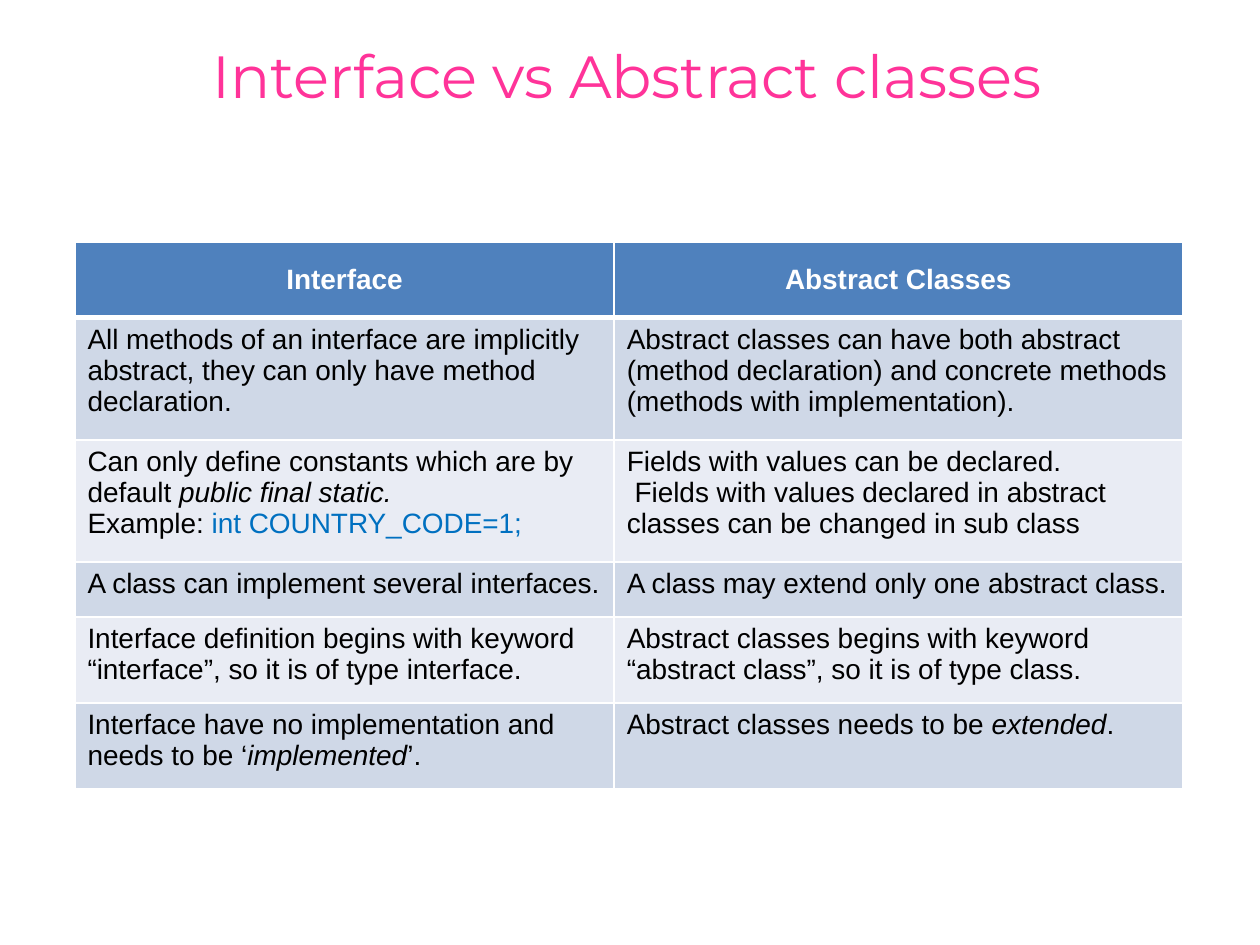
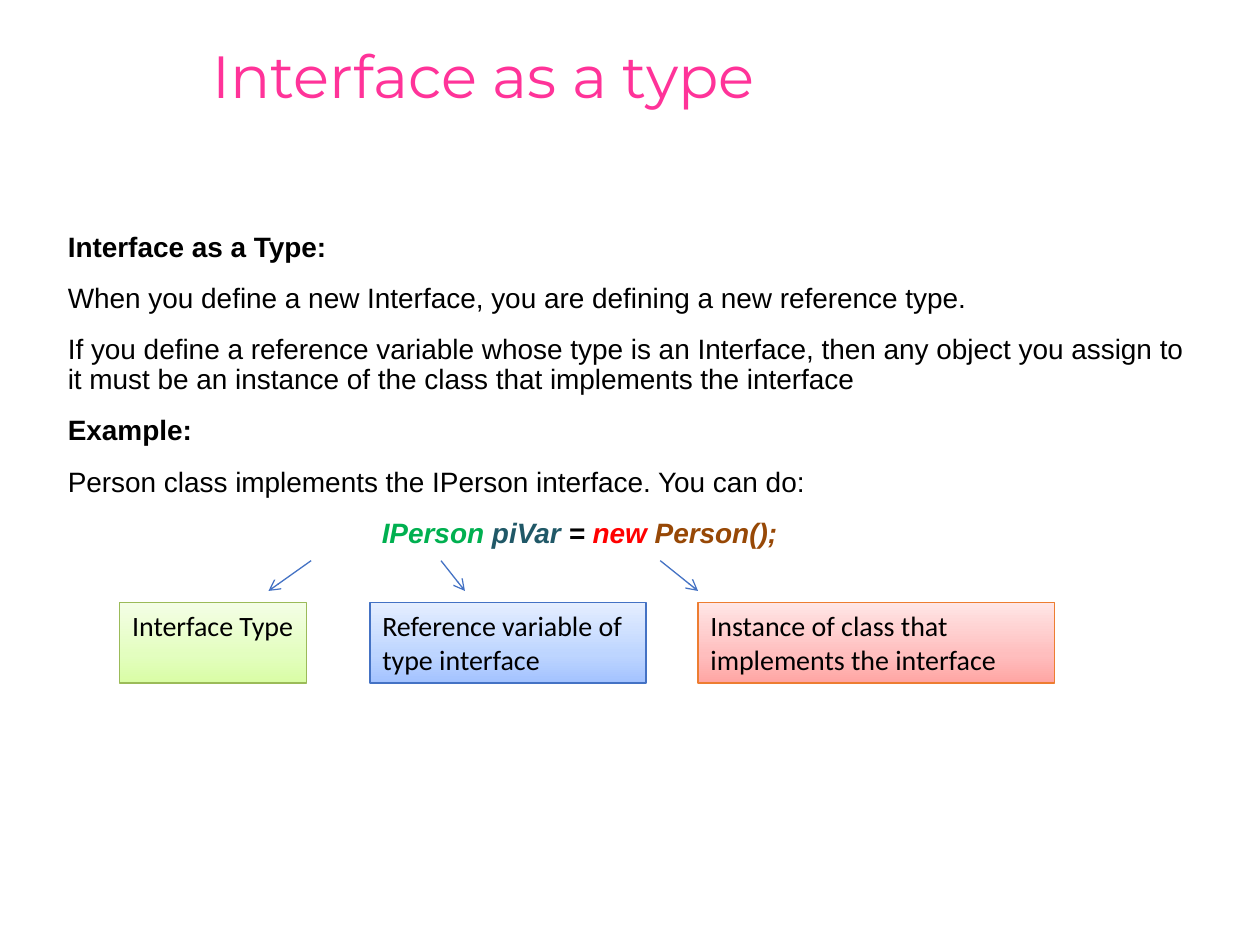
import copy
from dataclasses import dataclass

import lxml.etree
import pptx
import pptx.dml.color
import pptx.enum.shapes
import pptx.enum.text
import pptx.oxml.ns
import pptx.util


@dataclass(frozen=True)
class Theme:
    title_font: str = "Montserrat"
    body_font: str = "Arial"
    label_font: str = "Calibri"
    title_size: float = 34
    text_size: float = 16
    pink: str = "FF3399"
    black: str = "000000"
    white: str = "FFFFFF"
    header: str = "4F81BD"
    bands: tuple = ("CFD8E7", "E9ECF4")
    code_blue: str = "0070C0"
    accent_blue: str = "4472C4"


theme = Theme()
points = pptx.util.Pt
qualified = pptx.oxml.ns.qn
anchors = pptx.enum.text.MSO_ANCHOR
alignments = pptx.enum.text.PP_ALIGN


def write_text(frame, paragraphs, font_format, paragraph_format=None):
    """Each paragraph is a list of (text, format) runs."""
    for index, runs in enumerate(paragraphs):
        paragraph = frame.add_paragraph() if index else frame.paragraphs[0]
        for name, value in (paragraph_format or {}).items():
            setattr(paragraph, name, value)
        for text, run_format in runs:
            run = paragraph.add_run()
            run.text = text
            for name, value in {**font_format, **run_format}.items():
                if name == "color":
                    run.font.color.rgb = pptx.dml.color.RGBColor.from_string(value)
                else:
                    setattr(run.font, name, value)


def add_text_box(slide, left, top, width, height, anchor):
    frame = slide.shapes.add_textbox(*map(points, (left, top, width, height))).text_frame
    for name, value in {"word_wrap": True, "vertical_anchor": anchor}.items():
        setattr(frame, name, value)
    return frame


title_format = {"name": theme.title_font, "size": points(theme.title_size), "color": theme.pink}
body_format = {"name": theme.body_font, "size": points(theme.text_size), "color": theme.black}
label_format = {**body_format, "name": theme.label_font}
italic = {"italic": True}
bold = {"bold": True}

presentation = pptx.Presentation()
presentation.slide_width = points(720)
presentation.slide_height = points(540)

# Slides and their titles
slides = []
for title in ("Interface vs Abstract classes", "Interface as a type"):
    slide = presentation.slides.add_slide(presentation.slide_layouts[6])
    frame = add_text_box(slide, 114.5, 0.7, 605.5, 89.3, anchors.MIDDLE)
    write_text(frame, [[(title, {})]], title_format, {"line_spacing": 0.9})
    slides.append(slide)
comparison_slide, type_slide = slides

# Comparison table: rows of cells, each cell a list of paragraphs
comparison = [
    ([[("Interface", {})]], [[("Abstract Classes", {})]]),
    (
        [[("All methods of an interface are implicitly abstract, "
           "they can only have method declaration.", {})]],
        [[("Abstract classes can have both abstract (method declaration) "
           "and concrete methods (methods with implementation).", {})]],
    ),
    (
        [[("Can only define constants which are by default ", {}), ("public final static.", italic)],
         [("Example: ", {}), ("int COUNTRY_CODE=1;", {"color": theme.code_blue})]],
        [[("Fields with values can be declared.", {})],
         [(" Fields with values declared in abstract classes can be changed in sub class", {})]],
    ),
    (
        [[("A class can implement several interfaces.", {})]],
        [[("A class may extend only one abstract class.", {})]],
    ),
    (
        [[("Interface definition begins with keyword “interface”, so it is of type interface.", {})]],
        [[("Abstract classes begins with keyword “abstract class”, so it is of type class.", {})]],
    ),
    (
        [[("Interface have no implementation and needs to be ‘", {}), ("implemented", italic), ("’.", {})]],
        [[("Abstract classes needs to be ", {}), ("extended", italic), (".", {})]],
    ),
]
column_widths = (308.2, 324.7)
row_heights = (43.2, 69.8, 69.8, 31.4, 49.4, 48.7)
table = comparison_slide.shapes.add_table(
    len(row_heights), len(column_widths), points(42.8), points(138.3),
    points(sum(column_widths)), points(sum(row_heights)),
).table
for column, width in zip(table.columns, column_widths):
    column.width = points(width)
for row, height in zip(table.rows, row_heights):
    row.height = points(height)

for row_index, row_cells in enumerate(comparison):
    is_header = row_index == 0
    fill_color = theme.header if is_header else theme.bands[(row_index - 1) % 2]
    font_format = {**body_format, "bold": is_header,
                   "color": theme.white if is_header else theme.black}
    for column_index, paragraphs in enumerate(row_cells):
        cell = table.cell(row_index, column_index)
        cell.vertical_anchor = anchors.MIDDLE if is_header else anchors.TOP
        write_text(cell.text_frame, paragraphs, font_format,
                   {"alignment": alignments.CENTER if is_header else alignments.LEFT})
        # White borders, thicker between the header and the first row
        border_widths = {"L": 1, "R": 1, "T": 3 if row_index == 1 else 1, "B": 3 if is_header else 1}
        properties = cell._tc.get_or_add_tcPr()
        for side, width in border_widths.items():
            border = lxml.etree.SubElement(properties, qualified("a:ln" + side), w=str(points(width)))
            fill = lxml.etree.SubElement(border, qualified("a:solidFill"))
            lxml.etree.SubElement(fill, qualified("a:srgbClr"), val=theme.white)
        cell.fill.solid()
        cell.fill.fore_color.rgb = pptx.dml.color.RGBColor.from_string(fill_color)

# Explanation text
explanation = [
    [("Interface as a Type:", bold)],
    [("When you define a new Interface, you are defining a new reference type.", {})],
    [("If you define a reference variable whose type is an Interface, then any object you assign "
      "to it must be an instance of the class that implements the interface", {})],
    [("Example:", bold)],
    [("Person class implements the IPerson interface. You can do:", {})],
    [("IPerson ", {"color": "00B050", **bold, **italic}),
     ("piVar", {"color": "205867", **bold, **italic}),
     (" = ", {**bold, **italic}),
     ("new ", {"color": "FF0000", **bold, **italic}),
     ("Person();", {"color": "974806", **bold, **italic})],
]
frame = add_text_box(type_slide, 31.7, 129.6, 652.3, 345.6, anchors.TOP)
write_text(frame, explanation, body_format, {"line_spacing": 0.9, "space_before": points(12)})
code_line = frame.paragraphs[-1]
code_line._p.get_or_add_pPr().set("marL", str(points(179.4)))

# Labels under the code line: left, width, text, line colour, gradient from bottom to top
labels = [
    (68.4, 106.6, "Interface Type", "9BBB59", ("D9FDA5", "E3FEBF", "F4FEE6")),
    (211.4, 157.7, "Reference variable of type interface", theme.accent_blue,
     ("A3C2FF", "BDD5FF", "E5EEFF")),
    (398.9, 203.8, "Instance of class that implements the interface", "ED7D31",
     ("FFA5A3", "FFBEBE", "FFE6E6")),
]
for left, width, text, line_color, gradient in labels:
    shape = type_slide.shapes.add_shape(
        pptx.enum.shapes.MSO_SHAPE.RECTANGLE,
        points(left), points(344.2), points(width), points(46.1),
    )
    shape.shadow.inherit = False
    shape.line.color.rgb = pptx.dml.color.RGBColor.from_string(line_color)
    shape.line.width = points(0.75)
    shape.fill.gradient()
    shape.fill.gradient_angle = 90
    stop_list = shape._element.spPr.find(".//" + qualified("a:gsLst"))
    stop_list.append(copy.deepcopy(stop_list[0]))
    for stop, position, color in zip(shape.fill.gradient_stops, (0, 0.35, 1), gradient):
        stop.position = position
        stop.color.rgb = pptx.dml.color.RGBColor.from_string(color)
    shape.text_frame.word_wrap = True
    shape.text_frame.vertical_anchor = anchors.TOP
    write_text(shape.text_frame, [[(text, {})]], label_format, {"alignment": alignments.LEFT})

# Arrows from the code line to the labels
for start, end in ((177.8, 153.4), (252, 265.7), (377.3, 398.9)):
    arrow = type_slide.shapes.add_connector(
        pptx.enum.shapes.MSO_CONNECTOR.STRAIGHT,
        points(start), points(320.4), points(end), points(337.7),
    )
    arrow.line.color.rgb = pptx.dml.color.RGBColor.from_string(theme.accent_blue)
    arrow.line.width = points(0.75)
    lxml.etree.SubElement(arrow.line._get_or_add_ln(), qualified("a:tailEnd"), type="arrow")
    lxml.etree.SubElement(arrow._element.spPr, qualified("a:effectLst"))

presentation.save("out.pptx")
